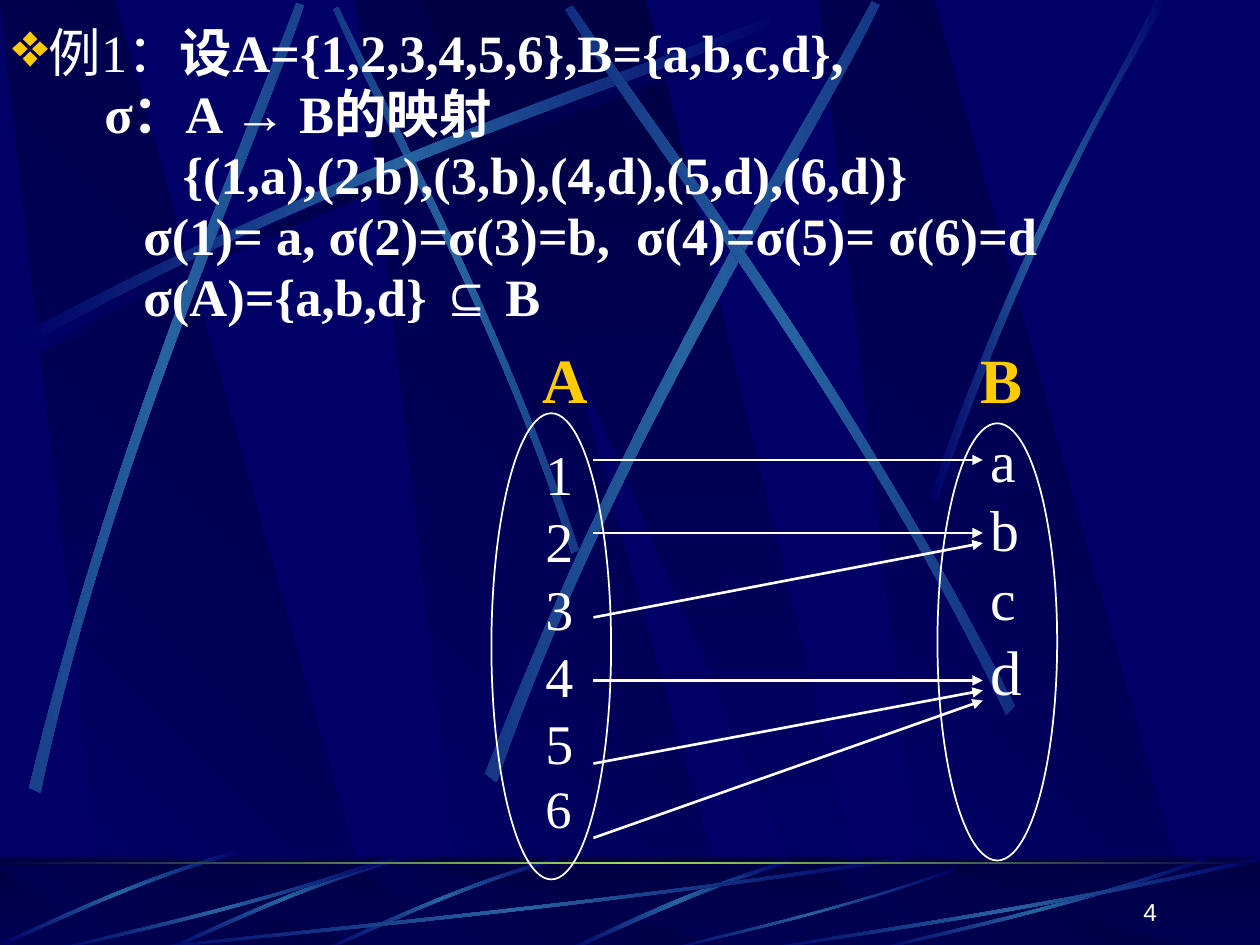
import math
import pptx
import pptx.dml.color
import pptx.enum.shapes
import pptx.enum.text
import pptx.oxml
import pptx.oxml.ns
import pptx.util
from dataclasses import dataclass

Inches = pptx.util.Inches
Shape = pptx.enum.shapes.MSO_SHAPE
Align = pptx.enum.text.PP_ALIGN
Anchor = pptx.enum.text.MSO_ANCHOR


@dataclass(frozen=True)
class Theme:
    navy: str = "000066"
    night: str = "000044"
    beam: str = "2663A0"
    lime: str = "9CE157"
    gold: str = "FFCC00"
    white: str = "FFFFFF"
    serif: str = "Times New Roman"
    sans: str = "Arial"
    body: int = 30
    item: int = 32
    letter: int = 33
    head: int = 36
    small: int = 14


T = Theme()
SIZE = (10, 7.5)

LINES = [
    (0, [("例1：", False), ("设A={1,2,3,4,5,6},B={a,b,c,d},", True)]),
    (0.73, [("σ：A → B的映射", True)]),
    (1.35, [("{(1,a),(2,b),(3,b),(4,d),(5,d),(6,d)}", True)]),
    (1.04, [("σ(1)= a, σ(2)=σ(3)=b,  σ(4)=σ(5)= σ(6)=d", True)]),
    (1.04, [("σ(A)={a,b,d} ⊆ B", True)]),
]
HEADS = [("A", (4.21, 2.65, 0.56, 0.7)), ("B", (7.68, 2.65, 0.53, 0.7))]
SETS = [
    ((4.23, 3.44, 0.43, 3.3), [(c, T.item) for c in "12345"] + [("6", T.body)]),
    ((7.76, 3.32, 0.45, 2.37), [(c, T.letter) for c in "abc"] + [("d", T.head)]),
]
OVALS = [(3.9, 3.28, 0.95, 3.7), (7.44, 3.36, 0.95, 3.47)]
ARROWS = [(3.65, 3.65), (4.23, 4.23), (4.9, 4.31), (5.4, 5.4), (6.06, 5.48), (6.65, 5.56)]
SPAN = (4.71, 7.8)

PANEL = [(0.86, 1), (3.02, 1), (0.91, 0), (0, 0)]
WEDGE = [(3.33, 0), (6.58, 1), (6.94, 1), (5.13, 0)]
SHIFTS = (2.83, 0, 6.5)

DARK = ([T.navy, T.night, T.navy], 0)
FADE = ([T.navy, T.beam, T.navy], 0)
SLANT = ([T.navy, T.night], 315)
DROP = ([T.night, T.navy], 90)

LONG = [(0.14, 2.67), (2.78, 1.25), (5.18, 0.51), (6.2, 0.1),
        (6.23, 0.16), (5.22, 0.61), (2.48, 1.43), (0.17, 2.77)]
TICK = [(3.17, 6.8), (2.3, 7.05), (1.62, 7.4), (1.31, 7.53),
        (1.32, 7.55), (1.63, 7.43), (2.4, 7.03), (3.19, 6.83)]
DASH = [(3.08, 6.83), (1.93, 7.23), (0.88, 7.44), (0.43, 7.55),
        (0.42, 7.54), (0.86, 7.41), (2.06, 7.18), (3.07, 6.8)]
FLAT = (0, 0, 0)
TILT = (2.25, 7.18, 315)
BEAMS = [
    (DARK, (0.06, 0.08), FLAT, LONG),
    (FADE, (0, 0), (3.62, 2.23, 45),
     [(4.6, 4.36), (3.91, 2.34), (3.02, 0.77), (2.69, 0.05),
      (2.65, 0.07), (2.95, 0.79), (3.98, 2.58), (4.54, 4.39)]),
    (FADE, (0, 0), FLAT, LONG),
    (FADE, (0, 0), (1.33, 3.16, 311.7),
     [(0.23, 6.25), (0.93, 3.34), (1.97, 1.05), (2.35, 0.02),
      (2.41, 0.04), (2.07, 1.09), (0.86, 3.68), (0.32, 6.29)]),
    (FADE, (0, 0), (5.43, 3.11, 321.6),
     [(3.85, 6.14), (4.98, 3.2), (6.38, 1.02), (6.92, 0.01),
      (6.98, 0.04), (6.49, 1.08), (4.86, 3.55), (3.94, 6.21)]),
    (FADE, (0, 0), (6.27, 2.86, 34.7),
     [(8.06, 5.6), (6.7, 2.93), (5.16, 0.95), (4.55, 0.04),
      (4.49, 0.07), (5.07, 1.01), (6.85, 3.25), (7.99, 5.67)]),
    (FADE, (0, 0), FLAT,
     [(7.38, 3.94), (8.14, 1.73), (8.88, 0.66), (9.17, 0),
      (9.27, 0), (8.36, 1.45), (7.69, 3.22), (7.44, 3.97)]),
]
RAYS = [
    (FADE, (0, 0), FLAT,
     [(6.27, 6.82), (5.37, 7.09), (4.77, 7.42), (4.48, 7.54),
      (4.53, 7.55), (4.9, 7.38), (5.71, 7), (6.28, 6.85)]),
    (FADE, (1.25, 0), TILT, TICK),
    (FADE, (0, 0), TILT, TICK),
    (FADE, (-1.3, -0.05), TILT, TICK),
    (FADE, (0, 0), FLAT,
     [(7.17, 6.83), (4.49, 7.23), (2.06, 7.44), (1.03, 7.55),
      (1, 7.54), (2.02, 7.41), (4.8, 7.18), (7.14, 6.8)]),
    (FADE, (0, 0), FLAT, DASH),
    (FADE, (0, 0), FLAT,
     [(7.58, 6.91), (6.58, 7.26), (5.67, 7.45), (5.28, 7.55),
      (5.27, 7.54), (5.65, 7.43), (6.69, 7.22), (7.57, 6.89)]),
    (FADE, (6.5, 0), FLAT, DASH),
    (FADE, (0, 0), FLAT,
     [(10, 6.83), (8.27, 7.23), (6.69, 7.44), (6.02, 7.55),
      (6, 7.54), (6.66, 7.41), (8.46, 7.18), (9.98, 6.8)]),
]


def rgb(code):
    return pptx.dml.color.RGBColor.from_string(code)


def node(tag, attrs="", inner=""):
    return pptx.oxml.parse_xml(f"<a:{tag} {pptx.oxml.ns.nsdecls('a')} {attrs}>{inner}</a:{tag}>")


def find(shape, tag):
    return shape.element.spPr.find(".//" + pptx.oxml.ns.qn(tag))


def shade(shape, look):
    codes, angle = look
    step = 100000 // (len(codes) - 1)
    stops = "".join(f'<a:gs pos="{i * step}"><a:srgbClr val="{c}"/></a:gs>' for i, c in enumerate(codes))
    grad = node("gradFill", 'rotWithShape="0"',
                f'<a:gsLst>{stops}</a:gsLst><a:lin ang="{angle * 60000}" scaled="0"/>')
    shape.fill.background()
    shape.element.spPr.replace(find(shape, "a:noFill"), grad)
    plain(shape)


def plain(shape):
    shape.line.fill.background()
    shape.shadow.inherit = False


def form(slide, spots, look):
    pts = [(Inches(x), Inches(y)) for x, y in spots]
    pen = slide.shapes.build_freeform(*pts[0])
    pen.add_line_segments(pts[1:], close=True)
    shape = pen.convert_to_shape()
    shade(shape, look)
    return shape


def bend(shape):
    route = find(shape, "a:pathLst")[0]
    steps = list(route)
    for first in (1, 5):
        curve = node("cubicBezTo")
        route.replace(steps[first], curve)
        for step in steps[first:first + 3]:
            curve.append(step[0])
        for step in steps[first + 1:first + 3]:
            route.remove(step)


def turn(pts, pivot):
    px, py, angle = pivot
    cos, sin = math.cos(math.radians(angle)), math.sin(math.radians(angle))
    return [(px + (x - px) * cos + (y - py) * sin,
             py - (x - px) * sin + (y - py) * cos) for x, y in pts]


def ribbons(slide, rows):
    for look, (dx, dy), pivot, pts in rows:
        shape = form(slide, [(x + dx, y + dy) for x, y in turn(pts, pivot)], look)
        bend(shape)
        shape.rotation = pivot[2]


def panels(slide, top, base):
    def place(pts, dx):
        return [(x + dx, top + y * (base - top)) for x, y in pts]
    for dx in SHIFTS:
        form(slide, place(PANEL, dx), SLANT)
    form(slide, place(WEDGE, 0), DROP)


def block(slide, kind, box):
    return slide.shapes.add_shape(kind, *map(Inches, box))


def write(slide, box, paras, font=T.serif, color=T.white, align=Align.LEFT,
          space=None, before=None, wrap=False, anchor=Anchor.TOP):
    frame = slide.shapes.add_textbox(*map(Inches, box)).text_frame
    frame.word_wrap = wrap
    frame.vertical_anchor = anchor
    for i, runs in enumerate(paras):
        para = frame.add_paragraph() if i else frame.paragraphs[0]
        para.alignment, para.line_spacing, para.space_before = align, space, before
        for text, size, bold in runs:
            run = para.add_run()
            run.text = text
            run.font.name, run.font.size, run.font.bold = font, pptx.util.Pt(size), bold
            run.font.color.rgb = rgb(color)
    return frame


def scene(slide):
    fill = slide.background.fill
    fill.solid()
    fill.fore_color.rgb = rgb(T.navy)
    panels(slide, 0, 7.52)
    ribbons(slide, BEAMS)
    floor = (0, 6.8, 10, 0.75)
    shade(block(slide, Shape.RECTANGLE, floor), DROP)
    panels(slide, 6.88, 7.55)
    veil = block(slide, Shape.RECTANGLE, floor)
    veil.fill.solid()
    veil.fill.fore_color.rgb = rgb(T.night)
    find(veil, "a:srgbClr").append(node("alpha", 'val="50000"'))
    plain(veil)
    ribbons(slide, RAYS)
    shade(block(slide, Shape.RECTANGLE, (0, 6.84, 10, 0.02)), ([T.night, T.lime, T.night], 0))


def proof(slide):
    paras = [[(text, T.body, bold) for text, bold in runs] for _, runs in LINES]
    frame = write(slide, (0, 0.21, 9.61, 2.73), paras, align=Align.JUSTIFY,
                  space=0.8, before=pptx.util.Pt(6), wrap=True)
    for para, (left, _) in zip(frame.paragraphs, LINES):
        props = para._p.get_or_add_pPr()
        props.set("marL", str(Inches(left)))
        props.set("indent", "0")
    props = frame.paragraphs[0]._p.get_or_add_pPr()
    props.append(node("buClr", "", f'<a:srgbClr val="{T.gold}"/>'))
    props.append(node("buSzPct", 'val="120000"'))
    props.append(node("buChar", 'char="❖"'))


def graph(slide):
    for box, items in SETS:
        write(slide, box, [[(text, size, False)] for text, size in items])
    for text, box in HEADS:
        write(slide, box, [[(text, T.head, True)]], color=T.gold)
    for start, end in ARROWS:
        line = slide.shapes.add_connector(
            pptx.enum.shapes.MSO_CONNECTOR.STRAIGHT,
            *map(Inches, (SPAN[0], start, SPAN[1], end)))
        line.line.color.rgb = rgb(T.white)
        line.line.width = pptx.util.Pt(1.5)
        find(line, "a:ln").append(node("tailEnd", 'type="triangle"'))
        line.element.spPr.append(node("effectLst"))
    for box in OVALS:
        oval = block(slide, Shape.OVAL, box)
        oval.fill.background()
        oval.line.color.rgb = rgb(T.white)
        oval.line.width = pptx.util.Pt(1)
        oval.shadow.inherit = False


def main():
    deck = pptx.Presentation()
    deck.slide_width, deck.slide_height = map(Inches, SIZE)
    slide = deck.slides.add_slide(deck.slide_layouts[6])
    scene(slide)
    proof(slide)
    graph(slide)
    write(slide, (7.2, 6.9, 2.08, 0.5), [[("4", T.small, False)]], font=T.sans,
          align=Align.RIGHT, wrap=True, anchor=Anchor.BOTTOM)
    deck.save("out.pptx")


if __name__ == "__main__":
    main()
